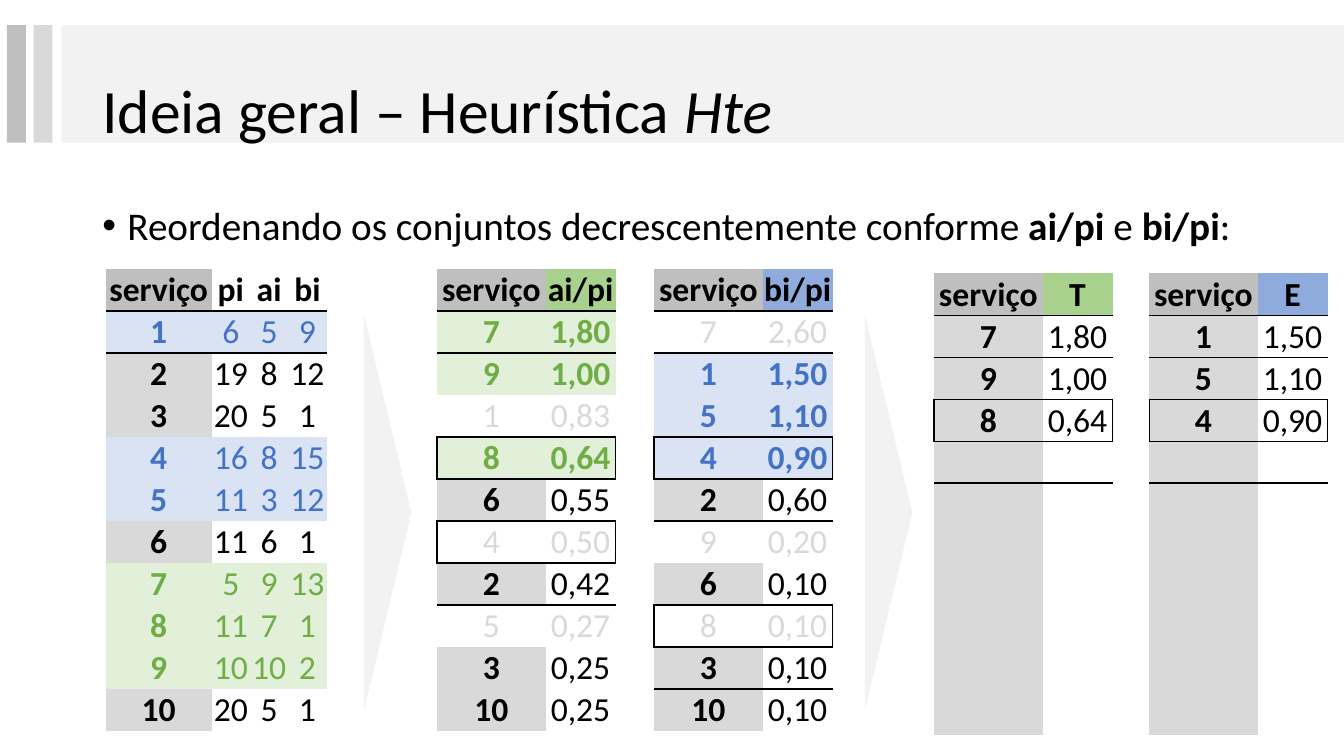
"""Builds the slide on reordering the service sets in the Hte heuristic."""
from lxml.etree import SubElement
from pptx import Presentation
from pptx.dml.color import RGBColor
from pptx.enum.shapes import MSO_SHAPE
from pptx.enum.text import MSO_ANCHOR, PP_ALIGN
from pptx.oxml.ns import qn
from pptx.util import Pt

COLORS = {
    "black": "000000", "white": "FFFFFF", "band": "F2F2F2",
    "silver": "D9D9D9", "gray": "BFBFBF",
    "blue": "4472C4", "pale blue": "DAE3F3", "head blue": "8FAADC",
    "green": "70AD47", "pale green": "E2F0D9", "head green": "A9D18E",
}
ROW_STYLES = {
    "plain": ("black", "silver", None),
    "used": ("silver", "white", "white"),
    "blue": ("blue", "pale blue", "pale blue"),
    "green": ("green", "pale green", "pale green"),
}
NO_GRID_STYLE = "{2D5ABB26-0587-4C30-8999-92F81FD0307C}"
ROW_HEIGHT = 30
SERVICES = 10

presentation = Presentation()
presentation.slide_width, presentation.slide_height = Pt(960), Pt(540)
slide = presentation.slides.add_slide(presentation.slide_layouts[6])


def add_block(kind, left, top, width, height, color):
    block = slide.shapes.add_shape(kind, Pt(left), Pt(top), Pt(width), Pt(height))
    block.shadow.inherit = False
    block.fill.solid()
    block.fill.fore_color.rgb = RGBColor.from_string(COLORS[color])
    block.line.fill.background()
    return block


def add_line(left, top, width, height, size, pieces):
    frame = slide.shapes.add_textbox(Pt(left), Pt(top), Pt(width), Pt(height)).text_frame
    frame.word_wrap = True
    line = frame.paragraphs[0]
    line.line_spacing = 0.9
    line.font.size, line.font.name = Pt(size), "Calibri"
    line.font.color.rgb = RGBColor.from_string(COLORS["black"])
    for text, emphasis in pieces:
        run = line.add_run()
        run.text = text
        if emphasis == "bold":
            run.font.bold = True
        elif emphasis == "italic":
            run.font.italic = True
    return frame


for left, width, color in [(44, 916, "band"), (24, 13.5, "silver"), (5, 13.5, "gray")]:
    add_block(MSO_SHAPE.RECTANGLE, left, 18, width, 84, color)

title = add_line(66, 28.75, 828, 104.4, 44,
                 [("Ideia geral – Heurística ", None), ("Hte", "italic")])
title.vertical_anchor = MSO_ANCHOR.MIDDLE

reordering = add_line(66, 144, 828, 49, 28, [
    ("Reordenando os conjuntos decrescentemente conforme ", None),
    ("ai/pi ", "bold"), ("e ", None), ("bi/pi", "bold"), (":", None)]).paragraphs[0]
reordering.space_before = Pt(10)
bullet = reordering._p.get_or_add_pPr()
bullet.set("marL", str(Pt(18)))
bullet.set("indent", str(-Pt(18)))
SubElement(bullet, qn("a:buFont")).set("typeface", "Arial")
SubElement(bullet, qn("a:buChar")).set("char", "•")

for left in (135.4, 493.2):
    add_block(MSO_SHAPE.ISOSCELES_TRIANGLE, left, 349.2, 283, 34, "band").rotation = 90

PAIR = [77.5, 50]
# fmt: off
tables = [
    (75.6, 192.2, [75.6, 27.4, 27.4, 27.4], "pi ai bi", None, False, (), [
        ("blue", "1 6 5 9"), ("plain", "2 19 8 12"), ("plain", "3 20 5 1"),
        ("blue", "4 16 8 15"), ("blue", "5 11 3 12"), ("plain", "6 11 6 1"),
        ("green", "7 5 9 13"), ("green", "8 11 7 1"), ("green", "9 10 10 2"),
        ("plain", "10 20 5 1")]),
    (312.2, 192.2, PAIR, "ai/pi", "head green", True, (4, 6), [
        ("green", "7 1,80"), ("green", "9 1,00"), ("used", "1 0,83"),
        ("green", "8 0,64"), ("plain", "6 0,55"), ("used", "4 0,50"),
        ("plain", "2 0,42"), ("used", "5 0,27"), ("plain", "3 0,25"),
        ("plain", "10 0,25")]),
    (467.2, 192.2, PAIR, "bi/pi", "head blue", True, (4, 8), [
        ("used", "7 2,60"), ("blue", "1 1,50"), ("blue", "5 1,10"),
        ("blue", "4 0,90"), ("plain", "2 0,60"), ("used", "9 0,20"),
        ("plain", "6 0,10"), ("used", "8 0,10"), ("plain", "3 0,10"),
        ("plain", "10 0,10")]),
    (667.2, 195.1, PAIR, "T", "head green", False, (3,), [
        ("plain", "7 1,80"), ("plain", "9 1,00"), ("plain", "8 0,64")]),
    (820.8, 195.1, PAIR, "E", "head blue", False, (3,), [
        ("plain", "1 1,50"), ("plain", "5 1,10"), ("plain", "4 0,90")]),
]
# fmt: on

for left, top, widths, heads, head_color, bold_marks, boxed, services in tables:
    table = slide.shapes.add_table(SERVICES + 1, len(widths), Pt(left), Pt(top), Pt(sum(widths)),
                                   Pt(ROW_HEIGHT * (SERVICES + 1))).table
    table._tbl.tblPr.find(qn("a:tableStyleId")).text = NO_GRID_STYLE
    table.first_row = table.horz_banding = False
    for column, width in zip(table.columns, widths):
        column.width = Pt(width)
    rules = {1}.union(boxed, [row + 1 for row in boxed])
    blanks = [("plain", "")] * (SERVICES - len(services))

    for row, (style, values) in enumerate([("head", "serviço " + heads)] + services + blanks):
        table.rows[row].height = Pt(ROW_HEIGHT)
        texts = values.split() or [""] * len(widths)
        for col, text in enumerate(texts):
            if style == "head":
                ink, fill, bold = "black", head_color if col else "gray", True
            else:
                ink, first_fill, value_fill = ROW_STYLES[style]
                fill = value_fill if col else first_fill
                bold = style != "used" and (col == 0 or (bold_marks and style != "plain"))

            cell = table.cell(row, col)
            cell.vertical_anchor = MSO_ANCHOR.BOTTOM
            cell.margin_left = cell.margin_right = cell.margin_top = Pt(0.7)
            cell.margin_bottom = 0
            borders = {"a:lnL": row in boxed and col == 0,
                       "a:lnR": row in boxed and col == len(widths) - 1,
                       "a:lnT": row in rules, "a:lnB": row + 1 in rules}
            for side, drawn in borders.items():
                if drawn:
                    border = SubElement(cell._tc.get_or_add_tcPr(), qn(side), w=str(Pt(1)))
                    ink_fill = SubElement(border, qn("a:solidFill"))
                    SubElement(ink_fill, qn("a:srgbClr")).set("val", COLORS["black"])
            if fill:
                cell.fill.solid()
                cell.fill.fore_color.rgb = RGBColor.from_string(COLORS[fill])
            else:
                cell.fill.background()

            if text:
                cell.text = text
                entry = cell.text_frame.paragraphs[0]
                entry.alignment = PP_ALIGN.CENTER
                entry.font.size, entry.font.name, entry.font.bold = Pt(24), "Calibri", bold
                entry.font.color.rgb = RGBColor.from_string(COLORS[ink])

presentation.save("out.pptx")
